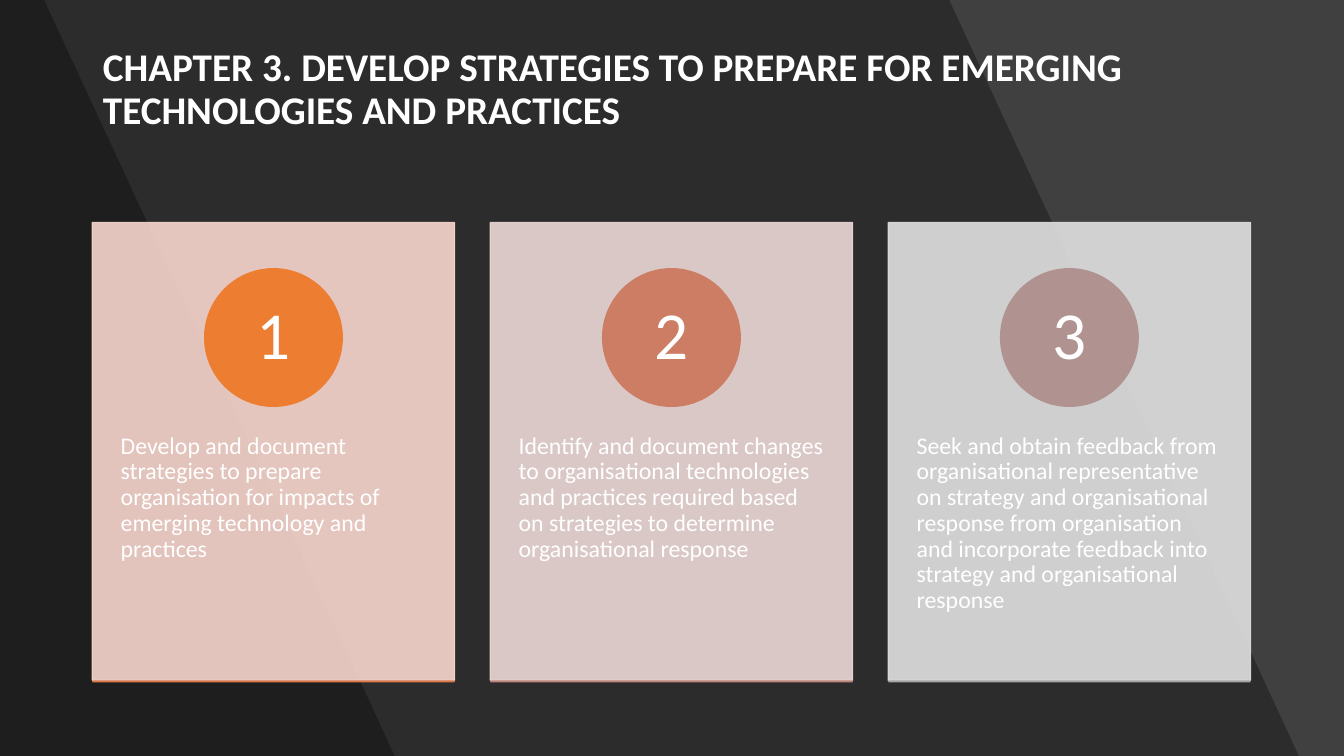
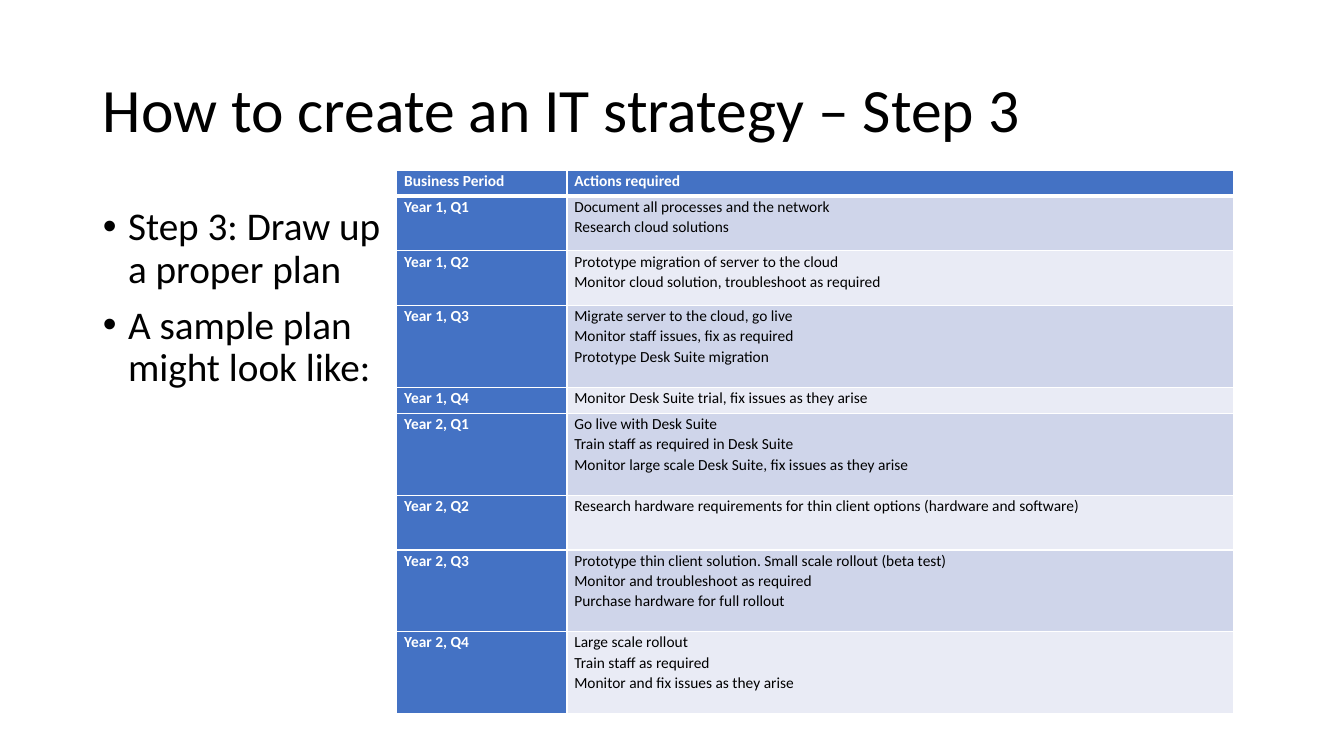
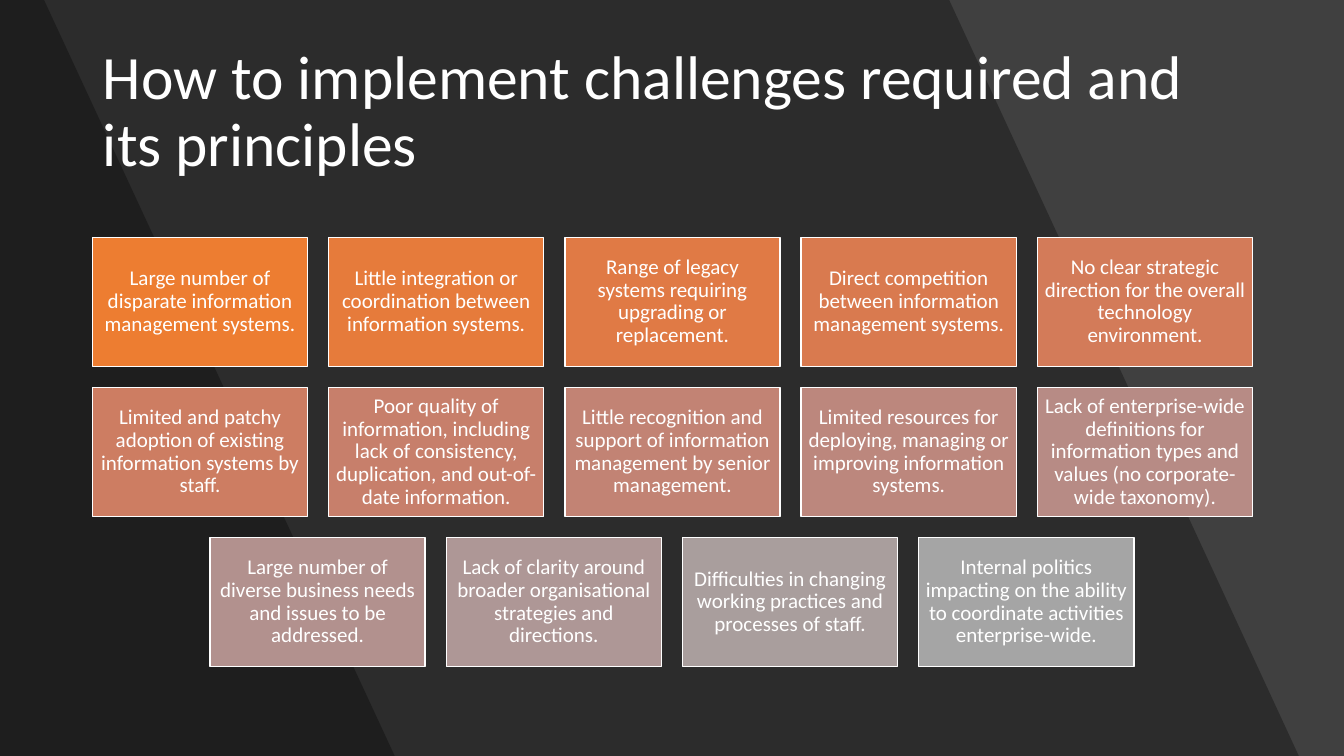
from collections import namedtuple
from colorsys import hls_to_rgb, rgb_to_hls

from lxml.etree import SubElement
from pptx import Presentation
from pptx.dml.color import RGBColor
from pptx.enum.shapes import MSO_SHAPE
from pptx.enum.text import MSO_ANCHOR, MSO_AUTO_SIZE, PP_ALIGN
from pptx.oxml.ns import qn
from pptx.util import Pt

PX = 9525
FONT = "Calibri"
COLOURS = {
    "white": "FFFFFF",
    "black": "000000",
    "dark": "404040",
    "orange": "ED7D31",
    "grey": "A5A5A5",
    "blue": "4472C4",
    "band odd": "CFD5EA",
    "band even": "E9EBF5",
    "card 1": "F8D7CE",
    "card 2": "EDD9D7",
    "card 3": "E1E1E1",
}
Box = namedtuple("Box", "left top width height")
SLIDE = Box(0, 0, 1280, 720)
TITLE = Box(88, 38, 1104, 139)
STRATEGIES = [
    "Develop and document strategies to prepare organisation for impacts of "
    "emerging technology and practices",
    "Identify and document changes to organisational technologies and practices "
    "required based on strategies to determine organisational response",
    "Seek and obtain feedback from organisational representative on strategy and "
    "organisational response from organisation and incorporate feedback into "
    "strategy and organisational response",
]
PLAN = [
    (25, "Business Period", ["Actions required"]),
    (52, "Year 1, Q1", ["Document all processes and the network",
                        "Research cloud solutions"]),
    (52, "Year 1, Q2", ["Prototype migration of server to the cloud",
                        "Monitor cloud solution, troubleshoot as required"]),
    (78, "Year 1, Q3", ["Migrate server to the cloud, go live",
                        "Monitor staff issues, fix as required",
                        "Prototype Desk Suite migration"]),
    (25, "Year 1, Q4", ["Monitor Desk Suite trial, fix issues as they arise"]),
    (78, "Year 2, Q1", ["Go live with Desk Suite",
                        "Train staff as required in Desk Suite",
                        "Monitor large scale Desk Suite, fix issues as they arise"]),
    (52, "Year 2, Q2", ["Research hardware requirements for thin client options "
                        "(hardware and software)"]),
    (78, "Year 2, Q3", ["Prototype thin client solution. Small scale rollout (beta test)",
                        "Monitor and troubleshoot as required",
                        "Purchase hardware for full rollout"]),
    (78, "Year 2, Q4", ["Large scale rollout", "Train staff as required",
                        "Monitor and fix issues as they arise"]),
]
CHALLENGES = [
    "Large number of disparate information management systems.",
    "Little integration or coordination between information systems.",
    "Range of legacy systems requiring upgrading or replacement.",
    "Direct competition between information management systems.",
    "No clear strategic direction for the overall technology environment.",
    "Limited and patchy adoption of existing information systems by staff.",
    "Poor quality of information, including lack of consistency, duplication, "
    "and out-of-date information.",
    "Little recognition and support of information management by senior management.",
    "Limited resources for deploying, managing or improving information systems.",
    "Lack of enterprise-wide definitions for information types and values "
    "(no corporate-wide taxonomy).",
    "Large number of diverse business needs and issues to be addressed.",
    "Lack of clarity around broader organisational strategies and directions.",
    "Difficulties in changing working practices and processes of staff.",
    "Internal politics impacting on the ability to coordinate activities enterprise-wide.",
]


def rgb(name):
    """Return the named colour."""
    return RGBColor.from_string(COLOURS[name])


def blend(fraction):
    """Return the colour at a fraction of the way from orange to grey."""
    start, end = (rgb_to_hls(*(value / 255 for value in rgb(name)))
                  for name in ("orange", "grey"))
    mixed = hls_to_rgb(*(a + (b - a) * fraction for a, b in zip(start, end)))
    return RGBColor(*(round(value * 255) for value in mixed))


def scaled(box):
    """Return the sides of a box in EMU."""
    return [side * PX for side in box]


def apply(target, values):
    """Set each attribute of the target from a dict."""
    for name, value in values.items():
        setattr(target, name, value)


def place(shape, box):
    """Move and size a shape to a box."""
    apply(shape, dict(zip(("left", "top", "width", "height"), scaled(box))))


def set_frame(frame, inset=(10, 5), anchor=MSO_ANCHOR.TOP, room_below=0):
    """Set the wrapping, anchor and margins of a text frame."""
    across, down = (side * PX for side in inset)
    apply(frame, {
        "word_wrap": True,
        "auto_size": MSO_AUTO_SIZE.NONE,
        "vertical_anchor": anchor,
        "margin_left": across,
        "margin_right": across,
        "margin_top": down,
        "margin_bottom": down + room_below * PX,
    })


def write(frame, lines, size, colour="white", bold=False, align=PP_ALIGN.LEFT,
          spacing=0.9, gap=0, bulleted=False):
    """Fill a text frame with one paragraph for each line."""
    for index, line in enumerate(lines):
        para = frame.add_paragraph() if index else frame.paragraphs[0]
        if bulleted:
            properties = para._p.get_or_add_pPr()
            properties.set("marL", str(24 * PX))
            properties.set("indent", str(-24 * PX))
            SubElement(properties, qn("a:buChar")).set("char", "•")
        apply(para, {"alignment": align, "line_spacing": spacing,
                     "space_before": Pt(gap if index else 0)})
        span = para.add_run()
        span.text = line
        apply(span.font, {"name": FONT, "size": Pt(size), "bold": bold})
        span.font.color.rgb = rgb(colour)


def paint(shape, fill, line=None, opacity=100):
    """Give a shape its fill, outline and opacity."""
    shape.shadow.inherit = False
    shape.fill.solid()
    shape.fill.fore_color.rgb = fill
    if line is None:
        shape.line.fill.background()
    else:
        shape.line.color.rgb = line
        shape.line.width = Pt(1)
    if opacity < 100:
        for colour in shape.element.spPr.iter(qn("a:srgbClr")):
            SubElement(colour, qn("a:alpha")).set("val", str(opacity * 1000))


def add_page(deck, layout, background):
    """Add a slide with a plain background."""
    page = deck.slides.add_slide(deck.slide_layouts[layout])
    page.background.fill.solid()
    page.background.fill.fore_color.rgb = rgb(background)
    return page


def add_title(page, text, size=44, colour="white", bold=False, room_below=0):
    """Fill the title placeholder."""
    title = page.shapes.title
    place(title, TITLE)
    set_frame(title.text_frame, anchor=MSO_ANCHOR.MIDDLE, room_below=room_below)
    write(title.text_frame, [text], size, colour, bold)


def add_bands(page, box):
    """Lay two slanted translucent bands behind the title."""
    bottom = box.top + box.height
    for top_edge, bottom_edge in ((904, 1237), (42, 376)):
        outline = page.shapes.build_freeform(box.left, box.top, scale=PX)
        outline.add_line_segments([(box.left + top_edge, box.top),
                                   (box.left + bottom_edge, bottom),
                                   (box.left, bottom)], close=True)
        band = outline.convert_to_shape()
        paint(band, rgb("black"), opacity=30)
        page.shapes.title.element.addprevious(band.element)


def add_dark_page(deck, **title):
    """Add a dark slide with bands and a title."""
    page = add_page(deck, 5, "dark")
    add_bands(page, SLIDE)
    add_title(page, **title)
    return page


def add_card(page, box, number, text):
    """Draw a numbered card with a description and a base strip."""
    shapes = page.shapes
    tint = rgb(f"card {number}")
    step = 2 * (number - 1)
    card = shapes.add_shape(MSO_SHAPE.RECTANGLE, *scaled(box))
    paint(card, tint, tint, 90)

    description = shapes.add_textbox(
        *scaled(Box(box.left, box.top + 166, box.width, 262)))
    set_frame(description.text_frame, (27, 35))
    write(description.text_frame, [text], 17)

    size = 131
    circle = shapes.add_shape(MSO_SHAPE.OVAL, *scaled(
        Box(box.left + (box.width - size) // 2, box.top + 44, size, size)))
    paint(circle, blend(step / 5), blend(step / 5))
    set_frame(circle.text_frame, (11, 1), MSO_ANCHOR.MIDDLE)
    write(circle.text_frame, [str(number)], 48, align=PP_ALIGN.CENTER)

    base = shapes.add_shape(MSO_SHAPE.RECTANGLE, *scaled(
        Box(box.left, box.top + box.height, box.width, 2)))
    paint(base, blend((step + 1) / 5))


def add_cards(page, box, texts, gap=34):
    """Spread the cards evenly across a box."""
    width = (box.width - gap * (len(texts) - 1)) // len(texts)
    for index, text in enumerate(texts):
        left = box.left + index * (width + gap)
        add_card(page, Box(left, box.top, width, box.height), index + 1, text)


def add_list(page, box, lines):
    """Fill the body placeholder with bullets."""
    body = page.placeholders[1]
    place(body, box)
    set_frame(body.text_frame)
    write(body.text_frame, lines, 28, "black", gap=10, bulleted=True)


def set_borders(cell, top, bottom):
    """Draw white borders round a table cell."""
    properties = cell._tc.get_or_add_tcPr()
    for side, width in (("L", 1), ("R", 1), ("T", top), ("B", bottom)):
        border = SubElement(properties, qn(f"a:ln{side}"))
        border.set("w", str(Pt(width)))
        fill = SubElement(border, qn("a:solidFill"))
        SubElement(fill, qn("a:srgbClr")).set("val", COLOURS["white"])


def add_plan(page, box, rows, widths):
    """Draw the plan as a table with a header row and column."""
    table = page.shapes.add_table(len(rows), len(widths), *scaled(box)).table
    apply(table, {"first_row": False, "horz_banding": False})
    for column, width in zip(table.columns, widths):
        column.width = width * PX
    for index, (height, period, actions) in enumerate(rows):
        table.rows[index].height = height * PX
        band = "band odd" if index % 2 else "band even"
        for column, lines in enumerate(([period], actions)):
            heading = index == 0 or column == 0
            cell = table.cell(index, column)
            set_borders(cell, 3 if index == 1 else 1, 3 if index == 0 else 1)
            cell.fill.solid()
            cell.fill.fore_color.rgb = rgb("blue" if heading else band)
            apply(cell, {"margin_left": 7 * PX, "margin_right": 7 * PX,
                         "margin_top": 0, "margin_bottom": 0})
            write(cell.text_frame, lines, 11, "white" if heading else "black",
                  heading, spacing=1.07)


def add_tiles(page, box, texts, columns=5, gap=20):
    """Lay out tiles in rows, each row centred in a box."""
    width = (box.width - gap * (columns - 1)) // columns
    row_count = -(-len(texts) // columns)
    height = (box.height - gap * (row_count - 1)) // row_count
    for index, text in enumerate(texts):
        row, column = divmod(index, columns)
        in_row = min(columns, len(texts) - row * columns)
        indent = (columns - in_row) * (width + gap) // 2
        tile = page.shapes.add_shape(MSO_SHAPE.RECTANGLE, *scaled(
            Box(box.left + indent + column * (width + gap),
                box.top + row * (height + gap), width, height)))
        paint(tile, blend(index / (len(texts) - 1)), rgb("white"))
        set_frame(tile.text_frame, (6, 6), MSO_ANCHOR.MIDDLE)
        write(tile.text_frame, [text], 15, align=PP_ALIGN.CENTER)


def main():
    """Build and save the deck."""
    deck = Presentation()
    apply(deck, {"slide_width": SLIDE.width * PX, "slide_height": SLIDE.height * PX})

    chapter = add_dark_page(
        deck, text="CHAPTER 3. DEVELOP STRATEGIES TO PREPARE FOR EMERGING "
        "TECHNOLOGIES AND PRACTICES", size=28, bold=True, room_below=43)
    add_cards(chapter, Box(88, 212, 1103, 436), STRATEGIES)

    plan = add_page(deck, 1, "white")
    add_title(plan, "How to create an IT strategy – Step 3", colour="black")
    add_list(plan, Box(88, 192, 290, 457),
             ["Step 3: Draw up a proper plan", "A sample plan might look like:"])
    add_plan(plan, Box(378, 162, 797, 518), PLAN, (162, 635))

    challenges = add_dark_page(
        deck, text="How to implement challenges required and its principles")
    add_tiles(challenges, Box(88, 226, 1105, 409), CHALLENGES)

    deck.save("out.pptx")


if __name__ == "__main__":
    main()
